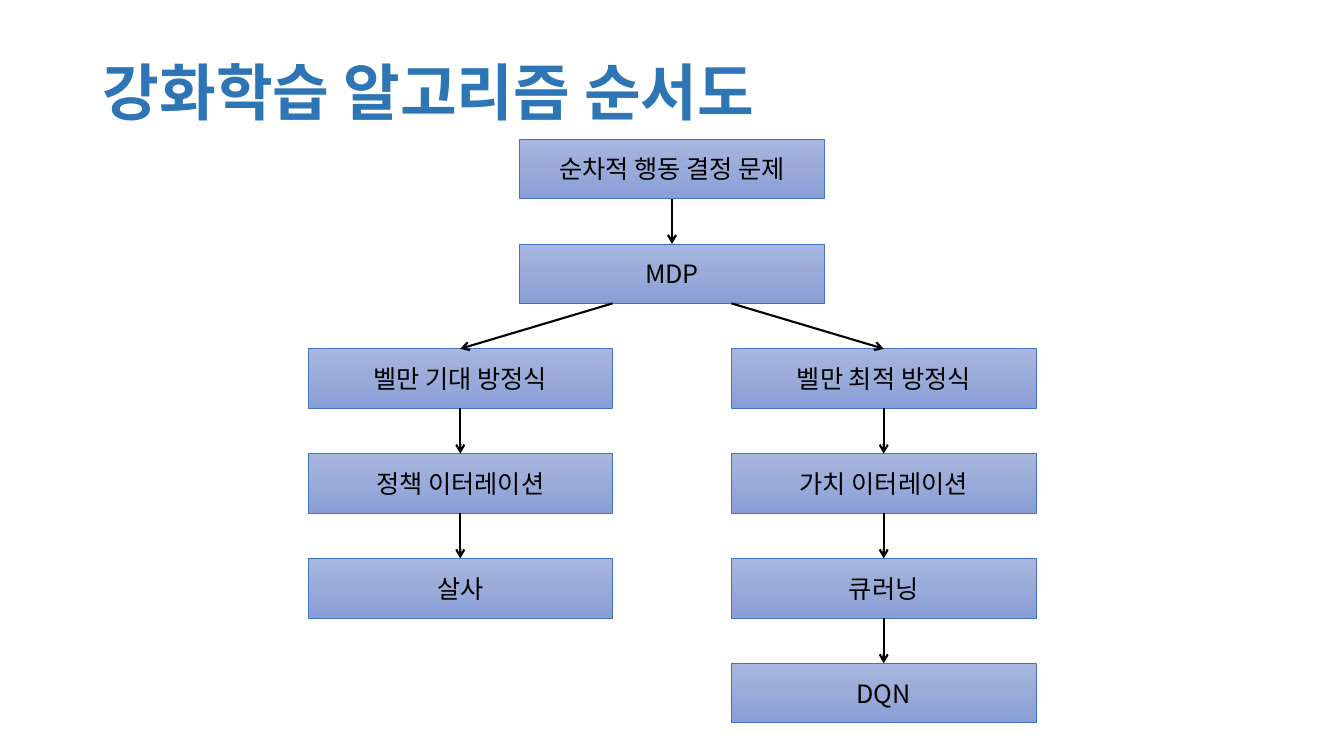
from copy import deepcopy
from dataclasses import dataclass

from lxml import etree
from pptx import Presentation
from pptx.dml.color import RGBColor
from pptx.enum.shapes import MSO_CONNECTOR, MSO_SHAPE
from pptx.enum.text import MSO_ANCHOR, PP_ALIGN
from pptx.oxml.ns import qn
from pptx.util import Inches, Pt

RECT = MSO_SHAPE.RECTANGLE
STRAIGHT = MSO_CONNECTOR.STRAIGHT
MIDDLE = MSO_ANCHOR.MIDDLE
LEFT, CENTER = PP_ALIGN.LEFT, PP_ALIGN.CENTER
TITLE_ONLY = 5
TOP, BOTTOM = 0, 2


@dataclass(frozen=True)
class Theme:
    font: str = "Noto Sans CJK KR"
    title_color: str = "2E75B6"
    text_color: str = "000000"
    box_line: str = "4472C4"
    box_fill: tuple = ((0, "A8B7DF"), (50, "9AABD9"), (100, "889ED7"))
    title_size: int = 44
    box_size: int = 18
    box_line_width: float = 0.5
    arrow_width: float = 1.5


THEME = Theme()
SLIDE_W, SLIDE_H = 13.33, 7.5
BOX_W, BOX_H = 3.02, 0.59
COL_STEP, ROW_STEP = 2.1, 1.04
FIRST_ROW = 1.38
BRANCH_OFFSET = 0.59

STEPS = {
    "problem": ("순차적 행동 결정 문제", 0, 0),
    "mdp": ("MDP", 0, 1),
    "expectation": ("벨만 기대 방정식", -1, 2),
    "optimality": ("벨만 최적 방정식", 1, 2),
    "policy": ("정책 이터레이션", -1, 3),
    "value": ("가치 이터레이션", 1, 3),
    "sarsa": ("살사", -1, 4),
    "q_learning": ("큐러닝", 1, 4),
    "dqn": ("DQN", 1, 5),
}
CHAINS = [
    ("problem", "mdp"),
    ("expectation", "policy", "sarsa"),
    ("optimality", "value", "q_learning", "dqn"),
]
BRANCHES = [("expectation", -1), ("optimality", 1)]


def write(tf, text, size, color, align, bold=False):
    tf.word_wrap = True
    tf.vertical_anchor = MIDDLE
    p = tf.paragraphs[0]
    p.text = text
    p.alignment = align
    p.font.name = THEME.font
    p.font.size = Pt(size)
    p.font.bold = bold
    p.font.color.rgb = RGBColor.from_string(color)
    rpr = p._p.pPr.find(qn("a:defRPr"))
    etree.SubElement(rpr, qn("a:ea")).set("typeface", THEME.font)
    return p


def add_title(s, text):
    title = s.shapes.title
    title.left, title.top = Inches(0.92), Inches(0.22)
    title.width, title.height = Inches(11.5), Inches(1.45)
    p = write(title.text_frame, text, THEME.title_size, THEME.title_color, LEFT, True)
    p.line_spacing = 0.9


def fill_gradient(sp):
    sp.fill.gradient()
    sp.fill.gradient_angle = 270
    stops = sp._element.spPr.find(".//" + qn("a:gsLst"))
    stops.insert(1, deepcopy(stops[0]))
    for stop, (percent, color) in zip(sp.fill.gradient_stops, THEME.box_fill):
        stop.position = percent / 100
        stop.color.rgb = RGBColor.from_string(color)


def add_box(s, text, col, row):
    left = SLIDE_W / 2 + col * COL_STEP - BOX_W / 2
    top = FIRST_ROW + row * ROW_STEP
    sp = s.shapes.add_shape(RECT, Inches(left), Inches(top), Inches(BOX_W), Inches(BOX_H))
    sp.shadow.inherit = False
    fill_gradient(sp)
    sp.line.color.rgb = RGBColor.from_string(THEME.box_line)
    sp.line.width = Pt(THEME.box_line_width)
    write(sp.text_frame, text, THEME.box_size, THEME.text_color, CENTER)
    return sp


def add_arrow(s, start, end, offset=0):
    x = start.left + start.width // 2 + Inches(offset)
    y = start.top + start.height
    line = s.shapes.add_connector(STRAIGHT, x, y, end.left + end.width // 2, end.top)
    if not offset:
        line.begin_connect(start, BOTTOM)
    line.end_connect(end, TOP)
    line.line.color.rgb = RGBColor.from_string(THEME.text_color)
    line.line.width = Pt(THEME.arrow_width)
    ln = line.line._get_or_add_ln()
    etree.SubElement(ln, qn("a:tailEnd")).set("type", "arrow")
    etree.SubElement(line._element.spPr, qn("a:effectLst"))


def main():
    prs = Presentation()
    prs.slide_width, prs.slide_height = Inches(SLIDE_W), Inches(SLIDE_H)
    s = prs.slides.add_slide(prs.slide_layouts[TITLE_ONLY])
    add_title(s, "강화학습 알고리즘 순서도")
    boxes = {name: add_box(s, *step) for name, step in STEPS.items()}
    for chain in CHAINS:
        for start, end in zip(chain, chain[1:]):
            add_arrow(s, boxes[start], boxes[end])
    for name, side in BRANCHES:
        add_arrow(s, boxes["mdp"], boxes[name], side * BRANCH_OFFSET)
    prs.save("out.pptx")


if __name__ == "__main__":
    main()
